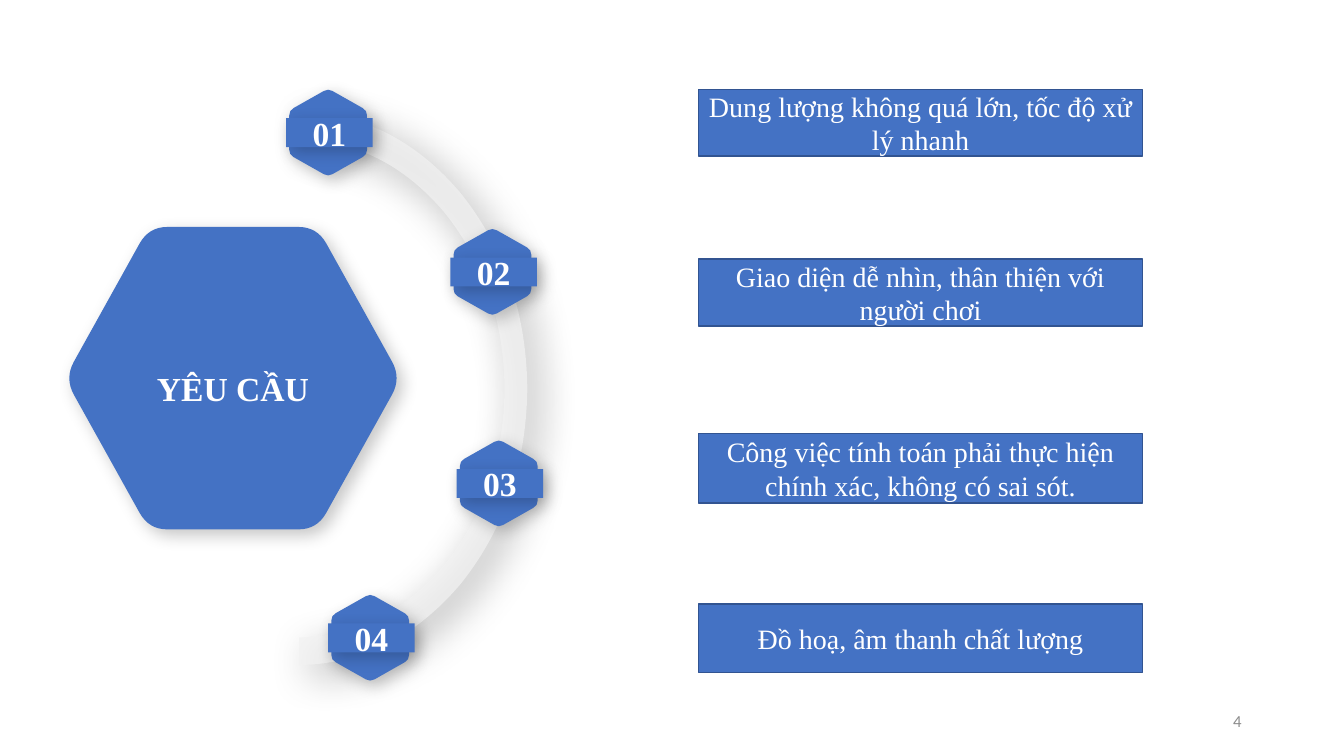
from math import cos, pi, sin
from lxml.etree import SubElement as Sub
from pptx import Presentation as Deck
from pptx.dml.color import RGBColor as RGB
from pptx.enum.shapes import MSO_SHAPE as Kind
from pptx.enum.text import MSO_ANCHOR as Anchor, PP_ALIGN as Align
from pptx.oxml.ns import qn
from pptx.util import Cm, Pt

BLUE = RGB(0x44, 0x72, 0xC4)
NAVY = RGB(0x32, 0x54, 0x91)
PALE = RGB(0xF2, 0xF2, 0xF2)
GREY = RGB(0x8C, 0x8C, 0x8C)
WHITE = RGB(0xFF, 0xFF, 0xFF)

BODY = {"name": "Times New Roman", "size": Pt(20)}
HEAD = {"name": "Times New Roman", "size": Pt(24), "bold": True}
FOOT = {"name": "Calibri", "size": Pt(12)}
SOFT = {"alpha": 21, "blur": 12, "dist": 5}
DEEP = {"alpha": 40, "blur": 30, "dist": 10}


def dress(shape, fill, glow=None):
    shape.fill.solid()
    shape.fill.fore_color.rgb = fill
    shape.line.fill.background()
    shape.shadow.inherit = False
    if glow:
        list_el = shape._element.spPr.find(qn("a:effectLst"))
        cast = Sub(list_el, qn("a:outerShdw"), blurRad=str(Pt(glow["blur"])),
                   dist=str(Pt(glow["dist"])), dir="2700000",
                   algn="tl", rotWithShape="0")
        tint = Sub(cast, qn("a:srgbClr"), val="000000")
        Sub(tint, qn("a:alpha"), val=str(glow["alpha"] * 1000))


def write(shape, text, style, ink=WHITE, align=Align.CENTER):
    frame = shape.text_frame
    frame.word_wrap = True
    frame.vertical_anchor = Anchor.MIDDLE
    para = frame.paragraphs[0]
    para.alignment = align
    run = para.add_run()
    run.text = text
    for key, value in style.items():
        setattr(run.font, key, value)
    run.font.color.rgb = ink
    return para


deck = Deck()
deck.slide_width, deck.slide_height = Cm(33.87), Cm(19.05)
page = deck.slides.add_slide(deck.slide_layouts[6])

label = page.shapes.add_textbox(Cm(23.92), Cm(17.65), Cm(7.62), Cm(1.02))
write(label, "4", FOOT, GREY, Align.RIGHT)

for top, high, text in [
    (2.26, 1.67, "Dung lượng không quá lớn, tốc độ xử lý nhanh"),
    (6.53, 1.69, "Giao diện dễ nhìn, thân thiện với người chơi"),
    (10.93, 1.75, "Công việc tính toán phải thực hiện chính xác, không có sai sót."),
    (15.22, 1.73, "Đồ hoạ, âm thanh chất lượng"),
]:
    box = page.shapes.add_shape(Kind.RECTANGLE, Cm(17.61), Cm(top), Cm(11.18), Cm(high))
    dress(box, BLUE)
    box.line.color.rgb = NAVY
    box.line.width = Pt(1)
    write(box, text, BODY)

CUT = 0.11
tips = [(-1, 0), (-0.5, -1), (0.5, -1), (1, 0), (0.5, 1), (-0.5, 1)]
wide = []
for i, tip in enumerate(tips):
    prev, after = tips[i - 1], tips[(i + 1) % 6]
    wide.append([[c + CUT * (k * (p - c) + m * (q - c))
                  for p, c, q in zip(prev, tip, after)]
                 for k, m in [(1, 0), (0.25, 0.25), (0, 1)]])
tall = [[(y, x) for x, y in bend] for bend in wide]

turns = [pi * i / 8 - pi / 2 for i in range(9)]
ring = [[(cos(a), sin(a)) for a in turns],
        [(0.9 * cos(a), 0.9 * sin(a)) for a in reversed(turns)]]

parts = [("YÊU CẦU", wide, 5.87, 9.53, 4.24, 3.81, BLUE, SOFT),
         ("", ring, 7.54, 9.79, 5.75, 6.97, PALE, DEEP)]
spots = [(8.27, 3.34), (12.41, 6.85), (12.57, 12.18), (9.33, 16.07)]
for rank, (x, y) in enumerate(spots, 1):
    parts.append((f"{rank:02}", tall, x, y, 0.98, 1.11, BLUE, SOFT))

for text, bends, x, y, wx, hy, fill, glow in parts:
    layer = page.shapes.add_group_shape().shapes if bends is tall else page.shapes
    dots = [(Cm(x + wx * u), Cm(y + hy * v)) for bend in bends for u, v in bend]
    pen = layer.build_freeform(*dots[0])
    pen.add_line_segments(dots[1:])
    form = pen.convert_to_shape()
    dress(form, fill, glow)

    trace = next(form._element.iter(qn("a:path")))
    nodes = list(trace)[:len(dots)]
    knots = [node[0] for node in nodes]
    start = 0
    for bend in bends:
        for j in range(start + 1, start + len(bend) - 1, 2):
            a, mid, b = knots[j - 1:j + 2]
            for key in ("x", "y"):
                ends = int(a.get(key)) + int(b.get(key))
                mid.set(key, str(2 * int(mid.get(key)) - ends // 2))
            quad = Sub(trace, qn("a:quadBezTo"))
            trace.replace(nodes[j], quad)
            trace.remove(nodes[j + 1])
            quad.extend([mid, b])
        start += len(bend)

    if bends is wide:
        write(form, text, HEAD).line_spacing = 1.5
    elif bends is ring:
        tint = form._element.spPr.find(qn("a:solidFill"))[0]
        Sub(tint, qn("a:alpha"), val="72000")
    else:
        band = layer.add_shape(Kind.RECTANGLE, Cm(x - 1.06), Cm(y - 0.36), Cm(2.18), Cm(0.73))
        dress(band, BLUE, SOFT)
        write(band, text, HEAD)

deck.save("out.pptx")
